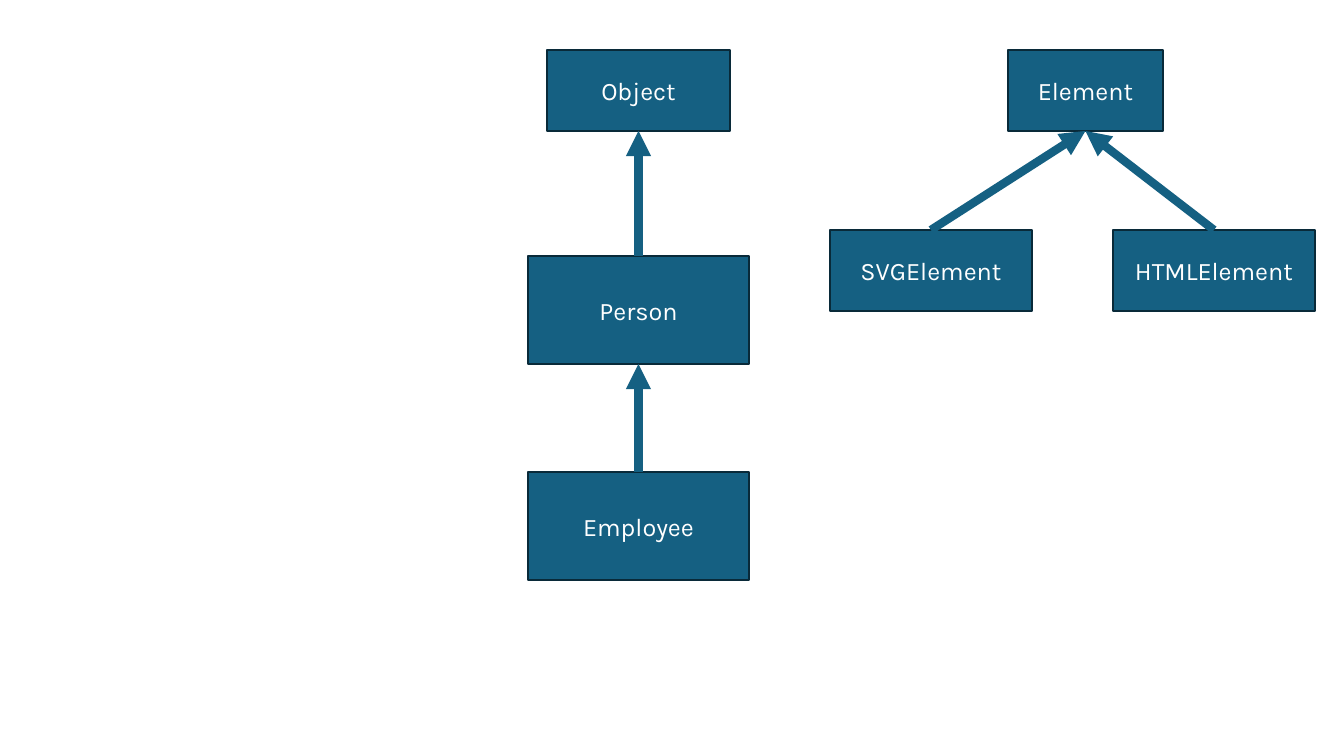
from lxml.etree import SubElement
from pptx import Presentation
from pptx.dml.color import RGBColor
from pptx.enum.shapes import MSO_CONNECTOR as CONN, MSO_SHAPE as SHAPE
from pptx.enum.text import MSO_ANCHOR as ANCHOR, PP_ALIGN as ALIGN
from pptx.oxml.ns import qn
from pptx.util import Emu, Pt

# Class, parent class, (left, top, width, height) in px
CLASSES = [
    ("Object", None, (547, 50, 183, 81)),
    ("Person", "Object", (528, 256, 221, 108)),
    ("Employee", "Person", (528, 472, 221, 108)),
    ("Element", None, (1008, 50, 155, 81)),
    ("HTMLElement", "Element", (1113, 230, 202, 81)),
    ("SVGElement", "Element", (830, 230, 202, 81)),
]
FILL, BORDER, WHITE = "156082", "092A39", "FFFFFF"
FONT = "Karla"
TOP, BOTTOM = 0, 2  # connection sites of a rectangle


def px(n):
    return Emu(round(n * 914400 / 100.8))


def rgb(color):
    return RGBColor.from_string(color)


def add_box(s, name, bounds):
    sp = s.shapes.add_shape(SHAPE.RECTANGLE, *map(px, bounds))
    sp.shadow.inherit = False
    sp.fill.solid()
    sp.fill.fore_color.rgb = rgb(FILL)
    sp.line.color.rgb = rgb(BORDER)
    sp.line.width = Pt(1.5)
    tf = sp.text_frame
    tf.word_wrap = True
    tf.vertical_anchor = ANCHOR.MIDDLE
    p = tf.paragraphs[0]
    p.alignment = ALIGN.CENTER
    r = p.add_run()
    r.text = name
    r.font.name = FONT
    r.font.size = Pt(18)
    r.font.color.rgb = rgb(WHITE)
    return sp


def add_arrow(s, child, parent):
    cx = s.shapes.add_connector(CONN.STRAIGHT, 0, 0, 0, 0)
    cx.begin_connect(child, TOP)
    cx.end_connect(parent, BOTTOM)
    cx.line.color.rgb = rgb(FILL)
    cx.line.width = Pt(6)
    SubElement(cx.line._get_or_add_ln(), qn("a:tailEnd"), type="triangle")
    SubElement(cx._element.spPr, qn("a:effectLst"))


prs = Presentation()
prs.slide_width, prs.slide_height = px(1344), px(756)
s = prs.slides.add_slide(prs.slide_layouts[6])

# Class boxes, each with an arrow up to its parent
boxes = {}
for name, parent, bounds in CLASSES:
    boxes[name] = add_box(s, name, bounds)
    if parent:
        add_arrow(s, boxes[name], boxes[parent])

prs.save("out.pptx")
